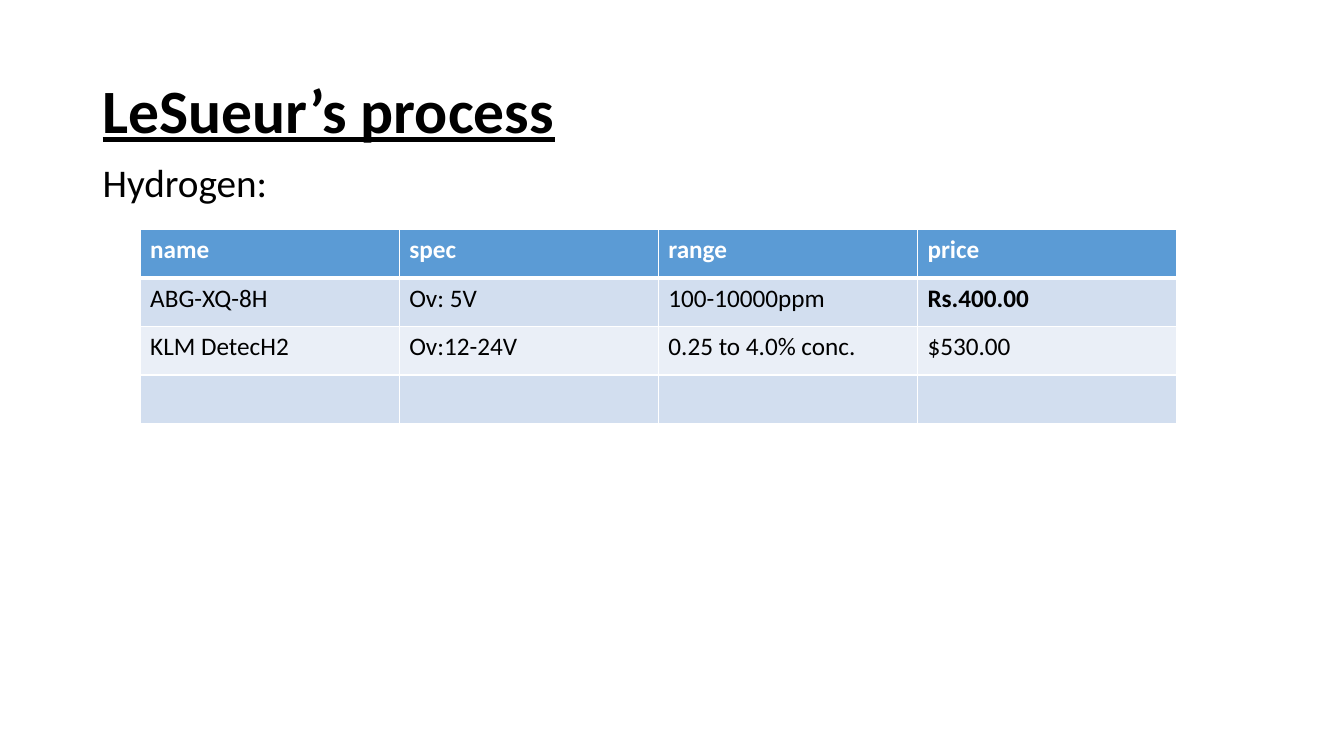
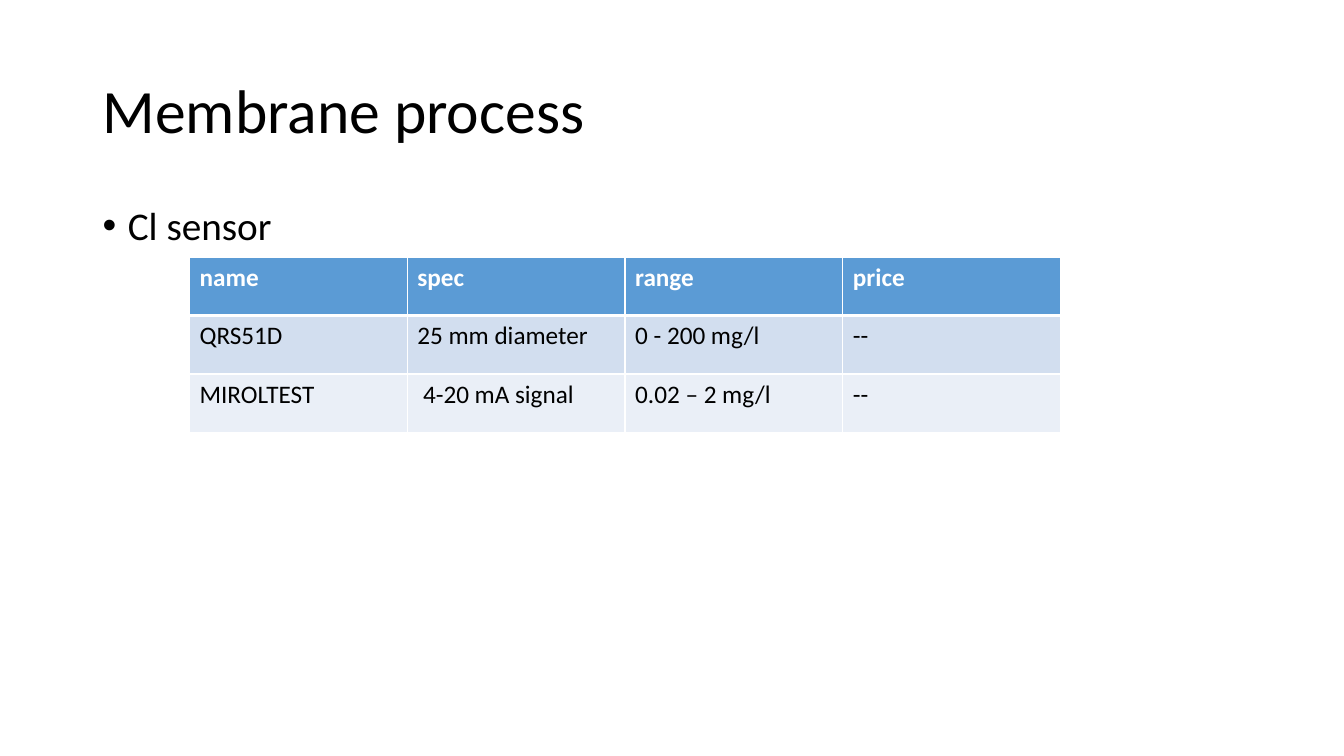
import pptx
import pptx.util
import pptx.dml.color
import pptx.enum.text
import pptx.oxml
import pptx.oxml.ns

Inches, Pt = pptx.util.Inches, pptx.util.Pt
FONT = "Calibri"
BLACK, WHITE = "000000", "FFFFFF"
HEADER, BANDS = "5B9BD5", ("D2DEEF", "EAEFF7")
LEFT, WIDTH = 0.92, 11.5
COLUMNS = ["name", "spec", "range", "price"]


def color(value):
    """Turn a hex string into a colour."""
    return pptx.dml.color.RGBColor.from_string(value)


def write(p, text, size=18, fill=BLACK, bold=False, underline=False):
    """Add one formatted run to a paragraph."""
    r = p.add_run()
    r.text = text
    f = r.font
    f.name, f.size, f.bold, f.underline = FONT, Pt(size), bold, underline
    f.color.rgb = color(fill)


def border(cell, side, width, fill=WHITE):
    """Append one border (L, R, T or B, in that order) to a cell."""
    cell._tc.get_or_add_tcPr().append(pptx.oxml.parse_xml(
        f'<a:ln{side} {pptx.oxml.ns.nsdecls("a")} w="{Pt(width)}">'
        f'<a:solidFill><a:srgbClr val="{fill}"/></a:solidFill></a:ln{side}>'))


def bullet(p, indent=0.25):
    """Give a paragraph a round bullet with a hanging indent."""
    pPr = p._p.get_or_add_pPr()
    pPr.set("marL", str(Inches(indent)))
    pPr.set("indent", str(-Inches(indent)))
    ns = pptx.oxml.ns.nsdecls("a")
    pPr.append(pptx.oxml.parse_xml(f'<a:buFont {ns} typeface="Arial"/>'))
    pPr.append(pptx.oxml.parse_xml(f'<a:buChar {ns} char="\u2022"/>'))


class Deck:
    """The presentation, its style and the current slide."""

    def __init__(self):
        """Start an empty widescreen presentation."""
        self.prs = pptx.Presentation()
        self.prs.slide_width = Inches(13.33)
        self.prs.slide_height = Inches(7.5)

    def slide(self, title, **style):
        """Add a blank slide with its title."""
        self.s = self.prs.slides.add_slide(self.prs.slide_layouts[6])
        tf, p = self.box(0.4, 1.45)
        tf.vertical_anchor = pptx.enum.text.MSO_ANCHOR.MIDDLE
        write(p, title, size=44, **style)

    def box(self, top, height):
        """Add a full-width text box; return its frame and first paragraph."""
        sp = self.s.shapes.add_textbox(
            Inches(LEFT), Inches(top), Inches(WIDTH), Inches(height))
        tf = sp.text_frame
        tf.word_wrap = True
        p = tf.paragraphs[0]
        p.line_spacing = 0.9
        return tf, p

    def body(self, text, top, height, bulleted=False):
        """Add the line of text that introduces the table."""
        p = self.box(top, height)[1]
        p.space_before = Pt(10)
        if bulleted:
            bullet(p)
        write(p, text, size=28)

    def table(self, rows, left, top, col_width, row_height, bold=()):
        """Add a banded table under the shared header row."""
        rows = [COLUMNS] + rows
        n = len(COLUMNS)
        t = self.s.shapes.add_table(
            len(rows), n, Inches(left), Inches(top),
            Inches(col_width * n), Inches(row_height * len(rows))).table
        for column in t.columns:
            column.width = Inches(col_width)
        for i, row in enumerate(rows):
            t.rows[i].height = Inches(row_height)
            head = i == 0
            for j, text in enumerate(row):
                cell = t.cell(i, j)
                for side, width in (("L", 1), ("R", 1),
                                    ("T", 3 if i == 1 else 1),
                                    ("B", 3 if head else 1)):
                    border(cell, side, width)
                cell.fill.solid()
                cell.fill.fore_color.rgb = color(
                    HEADER if head else BANDS[(i - 1) % 2])
                if text:
                    write(cell.text_frame.paragraphs[0], text,
                          fill=WHITE if head else BLACK,
                          bold=head or text in bold)


deck = Deck()

deck.slide("LeSueur\u2019s process", bold=True, underline=True)
deck.body("Hydrogen:", 1.57, 5.73)
price = "Rs.400.00\u00a0"
deck.table([
    ["ABG-XQ-8H", "Ov:\u00a05V", "100-10000ppm", price],
    ["KLM DetecH2", "Ov:12-24V", "0.25 to 4.0% conc.", "$530.00"],
    [""] * len(COLUMNS),
], 1.39, 2.28, 2.57, 0.48, bold=[price])

deck.slide("Membrane process")
deck.body("Cl sensor", 2, 4.76, bulleted=True)
deck.table([
    ["QRS51D", "25 mm diameter", "0 - 200 mg/l\u00a0", "--"],
    ["MIROLTEST", "\u00a04-20 mA signal", "0.02\u00a0\u2013\u00a02\u00a0mg/l", "--"],
], 1.88, 2.55, 2.16, 0.58)

deck.prs.save("out.pptx")
